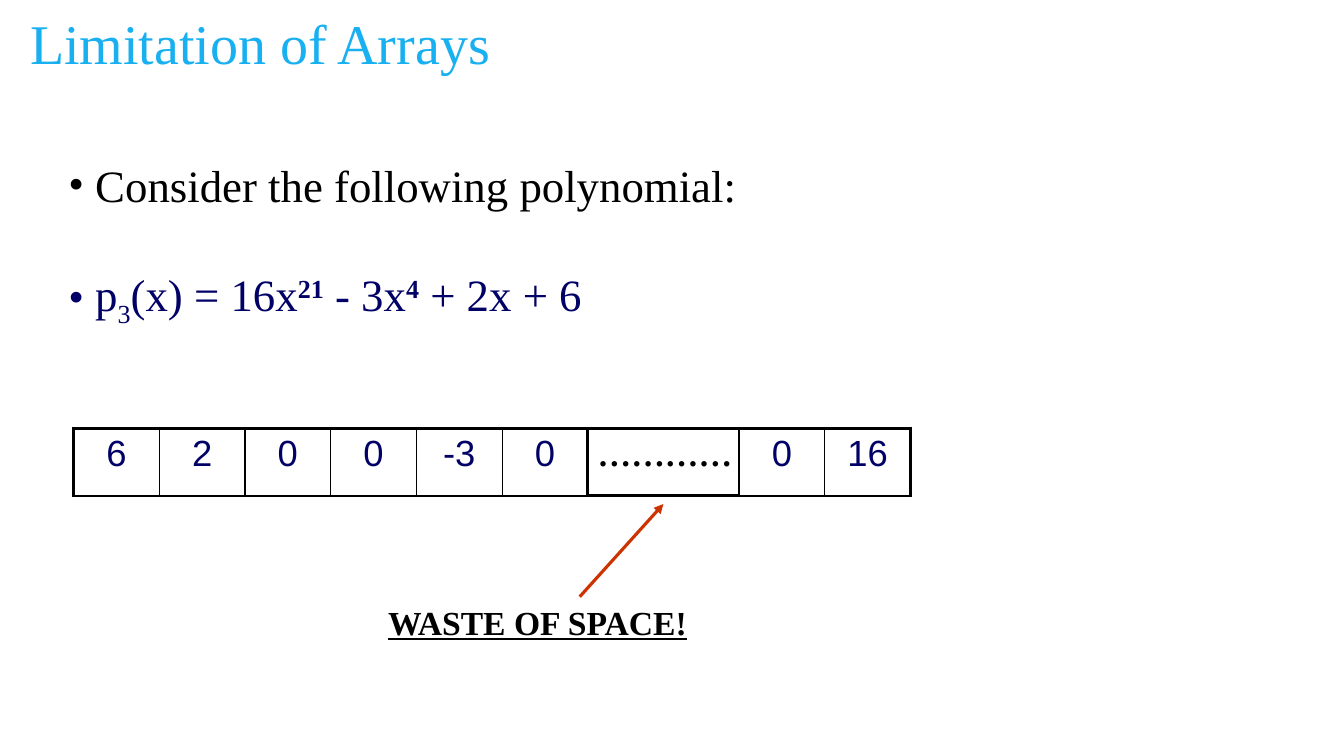
from lxml import etree
from pptx import Presentation
from pptx.dml.color import RGBColor
from pptx.enum import shapes, text
from pptx.oxml import ns
from pptx.util import Inches, Pt

HUES = {"title": "18B0F0", "ink": "000000", "navy": "000066", "red": "CC3300"}
SERIF, SANS = "Times New Roman", "Arial"

TITLE = "Limitation of Arrays"
INTRO = " Consider the following polynomial:"
# (text, baseline shift in percent)
POLY = [(" p", 0), ("3", -25), ("(x) = 16x", 0), ("21", 30),
        (" - 3x", 0), ("4", 30), (" + 2x + 6", 0)]
HEAD = ["6", "2", "0", "0", "-3", "0"]
DOTS = "…………"
TAIL = ["0", "16"]
WASTE = "WASTE OF SPACE!"

LEFT, TOP, CELL, HIGH, GAP = 0.73, 4.25, 0.85, 0.67, 1.5
THICK, THIN = 2.25, 1


def color(name):
    return RGBColor.from_string(HUES[name])


def style(run, size, hue, face=SERIF, bold=False, line=False):
    font = run.font
    font.size, font.name, font.bold = Pt(size), face, bold
    font.underline = line
    font.color.rgb = color(hue)


def add_text(slide, words, box, size, hue, wrap=True, **look):
    shape = slide.shapes.add_textbox(*map(Inches, box))
    frame = shape.text_frame
    frame.word_wrap = wrap
    frame.text = words
    style(frame.paragraphs[0].runs[0], size, hue, **look)
    return frame


def add_bullet(para):
    props = para._p.get_or_add_pPr()
    etree.SubElement(props, ns.qn("a:buFont"), typeface=SERIF)
    etree.SubElement(props, ns.qn("a:buChar"), char="•")


def add_line(slide, start, end, hue="ink", arrow=False):
    ends = map(Inches, (*start, *end))
    line = slide.shapes.add_connector(shapes.MSO_CONNECTOR.STRAIGHT, *ends)
    line.line.width = Pt(THICK)
    line.line.color.rgb = color(hue)
    if arrow:
        etree.SubElement(line.line._get_or_add_ln(), ns.qn("a:tailEnd"),
                         type="triangle")
    etree.SubElement(line._element.spPr, ns.qn("a:effectLst"))


def set_edge(cell, side, width):
    edge = etree.SubElement(cell._tc.get_or_add_tcPr(), ns.qn("a:" + side),
                            w=str(Pt(width)))
    fill = etree.SubElement(edge, ns.qn("a:solidFill"))
    etree.SubElement(fill, ns.qn("a:srgbClr"), val=HUES["ink"])


def add_array(slide, values, left):
    """Add one row of cells with a thick outline and thin dividers."""
    count = len(values)
    box = map(Inches, (left, TOP, CELL * count, HIGH))
    table = slide.shapes.add_table(1, count, *box).table
    table.first_row = table.horz_banding = False
    for i, value in enumerate(values):
        table.columns[i].width = Inches(CELL)
        cell = table.cell(0, i)
        cell.text = value
        para = cell.text_frame.paragraphs[0]
        para.alignment = text.PP_ALIGN.CENTER
        style(para.runs[0], 26, "navy", SANS)
        set_edge(cell, "lnL", THICK if i == 0 else THIN)
        set_edge(cell, "lnR", THICK if i == count - 1 else THIN)
        set_edge(cell, "lnT", THICK)
        set_edge(cell, "lnB", THICK)
        cell.fill.background()


def main():
    deck = Presentation()
    deck.slide_width, deck.slide_height = Inches(13.33), Inches(7.5)
    slide = deck.slides.add_slide(deck.slide_layouts[6])

    title = add_text(slide, TITLE, (0.2, 0.13, 10.96, 0.65), 40, "title")
    title.vertical_anchor = text.MSO_ANCHOR.MIDDLE
    title.paragraphs[0].line_spacing = 0.9

    start = LEFT + CELL * len(HEAD)
    stop = start + GAP
    add_array(slide, HEAD, LEFT)
    add_array(slide, TAIL, stop)
    for y in (TOP, TOP + HIGH):
        add_line(slide, (start, y), (stop, y))
    add_text(slide, DOTS, (start, TOP, 1.53, 0.5), 24, "ink",
             wrap=False, bold=True)

    add_line(slide, (5.75, 5.92), (6.58, 5), "red", arrow=True)
    add_text(slide, WASTE, (3.75, 5.92, 3.31, 0.5), 24, "ink",
             wrap=False, bold=True, line=True)

    body = add_text(slide, INTRO, (0.58, 1.47, 9.17, 1.72), 32, "ink")
    body.margin_top = Inches(0.09)
    poly = body.add_paragraph()
    poly.space_before = Pt(40)
    for words, shift in POLY:
        run = poly.add_run()
        run.text = words
        style(run, 32, "navy", bold=shift > 0)
        if shift:
            run.font._element.set("baseline", str(shift * 1000))
    for para in body.paragraphs:
        add_bullet(para)

    deck.save("out.pptx")


if __name__ == "__main__":
    main()
